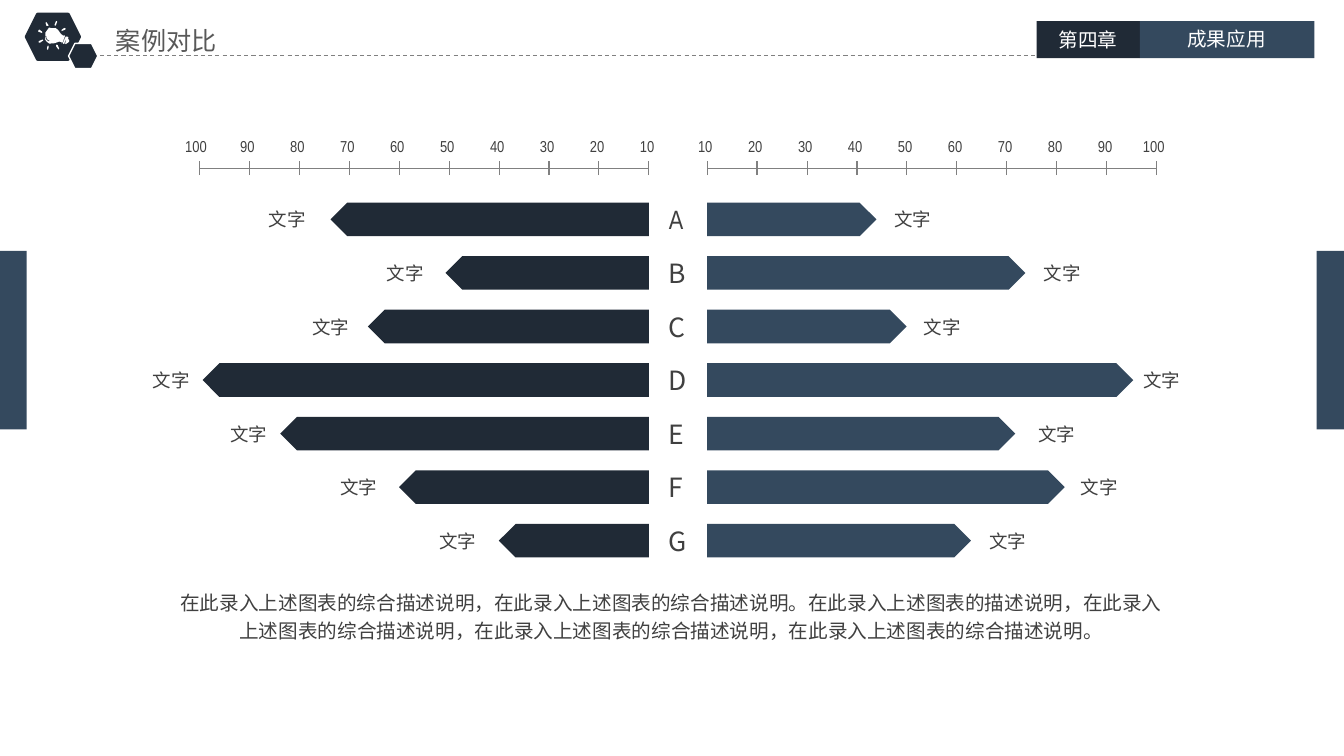
from dataclasses import dataclass

from lxml.etree import SubElement
from pptx import Presentation
from pptx.dml.color import RGBColor
from pptx.enum.dml import MSO_LINE
from pptx.enum.shapes import MSO_CONNECTOR, MSO_SHAPE
from pptx.enum.text import MSO_AUTO_SIZE, PP_ALIGN
from pptx.oxml.ns import qn
from pptx.util import Pt


@dataclass(frozen=True)
class Theme:
    navy: str = "202A36"
    slate: str = "34495E"
    white: str = "FFFFFF"
    title_grey: str = "595959"
    text_grey: str = "404040"
    line_grey: str = "808080"
    cjk: str = "Noto Sans CJK SC"
    narrow: str = "Arial Narrow"
    title_size: float = 18
    body_size: float = 14
    letter_size: float = 18.9
    label_size: float = 13.2
    scale_size: float = 11.3


THEME = Theme()

ROW_TOP, ROW_PITCH, BAR_HEIGHT = 144.7, 38.25, 24
AXIS_Y, TICK_STEP, TICK_HALF = 120.2, 35.72, 5
LEFT_ORIGIN, RIGHT_ORIGIN = 463.8, 505.3

ROWS = [
    ("A", 227.5, 185, 121, 632.2),
    ("B", 145.4, 269.3, 227.5, 738.7),
    ("C", 200.9, 216, 142.6, 653),
    ("D", 319, 102.2, 304.6, 810),
    ("E", 263.5, 157.7, 220.3, 735.1),
    ("F", 178.6, 236.2, 255.6, 765.4),
    ("G", 107.3, 306.7, 188.6, 699.8),
]

SUMMARY = (
    "在此录入上述图表的综合描述说明，在此录入上述图表的综合描述说明。"
    "在此录入上述图表的描述说明，在此录入上述图表的综合描述说明，"
    "在此录入上述图表的综合描述说明，在此录入上述图表的综合描述说明。"
)

BULB_CONTOURS = [
    [(63, 44), (63, 45), (58, 48), (57, 49), (56, 48), (57, 47), (62, 44)],
    [(63, 45), (58, 49), (58, 50), (62, 50), (63, 49), (63, 47), (64, 46), (64, 45)],
    [(46, 27), (46, 26), (45, 23), (44, 23), (43, 24), (45, 27)],
    [(41, 34), (42, 34), (42, 33), (38, 32), (37, 33), (38, 34)],
    [(43, 41), (42, 41), (40, 43), (40, 44), (41, 44), (43, 42)],
    [(49, 46), (49, 50), (50, 50), (51, 46), (50, 45)],
    [(63, 36), (62, 37), (66, 38), (67, 37), (66, 36)],
    [(63, 26), (60, 28), (60, 29), (61, 29), (64, 27), (64, 26)],
    [(54, 25), (55, 25), (55, 21), (54, 21), (53, 24)],
    [(62, 42), (62, 43), (56, 47), (55, 47), (56, 46), (53.5, 43.9), (50.5, 43),
     (47.6, 42.1), (45, 40), (44.1, 37.4), (44.2, 34.5), (45.6, 31.5), (48, 29),
     (50.6, 27.5), (53.5, 27.4), (56.4, 28.6), (59, 31), (60.3, 33.6),
     (60.4, 36.5), (60.4, 39.3), (61, 42)],
    [(47, 32), (46, 32), (45, 34), (45, 36), (46, 38), (47, 38), (46, 36), (46, 34)],
]


def apply_format(target, values):
    for name, value in values.items():
        setattr(target, name, value)


def paint(shape, fill, line=None, line_width=1):
    shape.shadow.inherit = False
    shape.fill.solid()
    shape.fill.fore_color.rgb = RGBColor.from_string(fill)
    if line:
        shape.line.color.rgb = RGBColor.from_string(line)
        shape.line.width = Pt(line_width)
    else:
        shape.line.fill.background()


def add_block(shapes, kind, box, fill, line=None, line_width=1):
    shape = shapes.add_shape(kind, *map(Pt, box))
    paint(shape, fill, line, line_width)
    return shape


def add_rule(shapes, start, end, dash=None):
    connector = shapes.add_connector(MSO_CONNECTOR.STRAIGHT, *map(Pt, start + end))
    connector.line.color.rgb = RGBColor.from_string(THEME.line_grey)
    apply_format(connector.line, {"width": Pt(0.75), "dash_style": dash})
    SubElement(connector._element.spPr, qn("a:effectLst"))


def add_text(shapes, text, box, size, color=THEME.text_grey, font=THEME.cjk,
             align=PP_ALIGN.LEFT, wrap=False, inset=(7.2, 3.6), spacing=None):
    frame = shapes.add_textbox(*map(Pt, box)).text_frame
    side, top = map(Pt, inset)
    apply_format(frame, {
        "margin_left": side, "margin_right": side,
        "margin_top": top, "margin_bottom": top,
        "word_wrap": wrap, "auto_size": MSO_AUTO_SIZE.SHAPE_TO_FIT_TEXT,
    })
    paragraph = frame.paragraphs[0]
    apply_format(paragraph, {"alignment": align, "line_spacing": spacing})
    run = paragraph.add_run()
    run.text = text
    apply_format(run.font, {"size": Pt(size), "name": font})
    run.font.color.rgb = RGBColor.from_string(color)
    SubElement(run._r.get_or_add_rPr(), qn("a:ea"), typeface=THEME.cjk)


def add_bulb(shapes):
    first, *others = BULB_CONTOURS
    builder = shapes.build_freeform(*first[0], scale=Pt(0.72))
    builder.add_line_segments(first[1:], close=True)
    for contour in others:
        builder.move_to(*contour[0])
        builder.add_line_segments(contour[1:], close=True)
    bulb = builder.convert_to_shape()
    paint(bulb, THEME.white)
    bulb.rotation = 324.5


def add_header(shapes):
    header = {"wrap": True, "inset": (5, 2.6)}
    tab = {**header, "color": THEME.white, "align": PP_ALIGN.CENTER}
    add_text(shapes, "案例对比", (77.8, 15.1, 147.6, 27.4), THEME.title_size,
             THEME.title_grey, **header)
    add_block(shapes, MSO_SHAPE.HEXAGON, (18.7, 10.1, 38.2, 32.4), THEME.navy, THEME.navy, 2)
    add_rule(shapes, (66.2, 39.6), (740.9, 39.6), MSO_LINE.DASH)
    add_block(shapes, MSO_SHAPE.RECTANGLE, (740.9, 15.1, 73.8, 26.4), THEME.navy)
    add_block(shapes, MSO_SHAPE.RECTANGLE, (814.7, 15.1, 124.6, 26.4), THEME.slate)
    add_block(shapes, MSO_SHAPE.HEXAGON, (49, 31, 20.9, 18), THEME.navy, THEME.white)
    add_text(shapes, "第四章", (740.9, 17, 73.4, 22.3), THEME.body_size, **tab)
    add_text(shapes, "成果应用", (814.3, 16.6, 124.6, 22.3), THEME.body_size, **tab)
    add_bulb(shapes)


def add_axis(shapes, origin, direction):
    ticks = [origin + direction * TICK_STEP * index for index in range(10)]
    group = shapes.add_group_shape()
    add_rule(group.shapes, (min(ticks), AXIS_Y), (max(ticks), AXIS_Y))
    for index, x in enumerate(ticks, start=1):
        add_rule(group.shapes, (x, AXIS_Y + TICK_HALF), (x, AXIS_Y - TICK_HALF))
        shift, width = (17, 31.7) if index == 10 else (13.5, 26.6)
        add_text(shapes, str(index * 10), (x - shift, 94.3, width, 20.9),
                 THEME.scale_size, font=THEME.narrow)


def add_row(shapes, index, letter, left_length, left_label, right_length, right_label):
    top = ROW_TOP + ROW_PITCH * index
    font = THEME.narrow if index == 0 else THEME.cjk
    left_bar = add_block(shapes, MSO_SHAPE.PENTAGON,
                         (LEFT_ORIGIN - left_length, top, left_length, BAR_HEIGHT), THEME.navy)
    left_bar._element.spPr.xfrm.set("flipH", "1")
    add_block(shapes, MSO_SHAPE.PENTAGON,
              (RIGHT_ORIGIN, top, right_length, BAR_HEIGHT), THEME.slate)
    for x in (left_label, right_label):
        add_text(shapes, "文字", (x, top + 0.7, 41, 23), THEME.label_size, font=font)
    add_text(shapes, letter, (470.9, top - 2.9, 27, 30.2), THEME.letter_size, font=font)


def main():
    presentation = Presentation()
    apply_format(presentation, {"slide_width": Pt(960.48), "slide_height": Pt(540)})
    slide = presentation.slides.add_slide(presentation.slide_layouts[6])
    shapes = slide.shapes
    add_header(shapes)
    for x in (-2, 941):
        add_block(shapes, MSO_SHAPE.RECTANGLE, (x, 179.3, 21, 127.4), THEME.slate)
    add_text(shapes, SUMMARY, (117.4, 415.4, 725, 48.2), THEME.body_size,
             align=PP_ALIGN.CENTER, wrap=True, spacing=1.2)
    add_axis(shapes, LEFT_ORIGIN, -1)
    add_axis(shapes, RIGHT_ORIGIN, 1)
    for index, row in enumerate(ROWS):
        add_row(shapes, index, *row)
    presentation.save("out.pptx")


if __name__ == "__main__":
    main()
